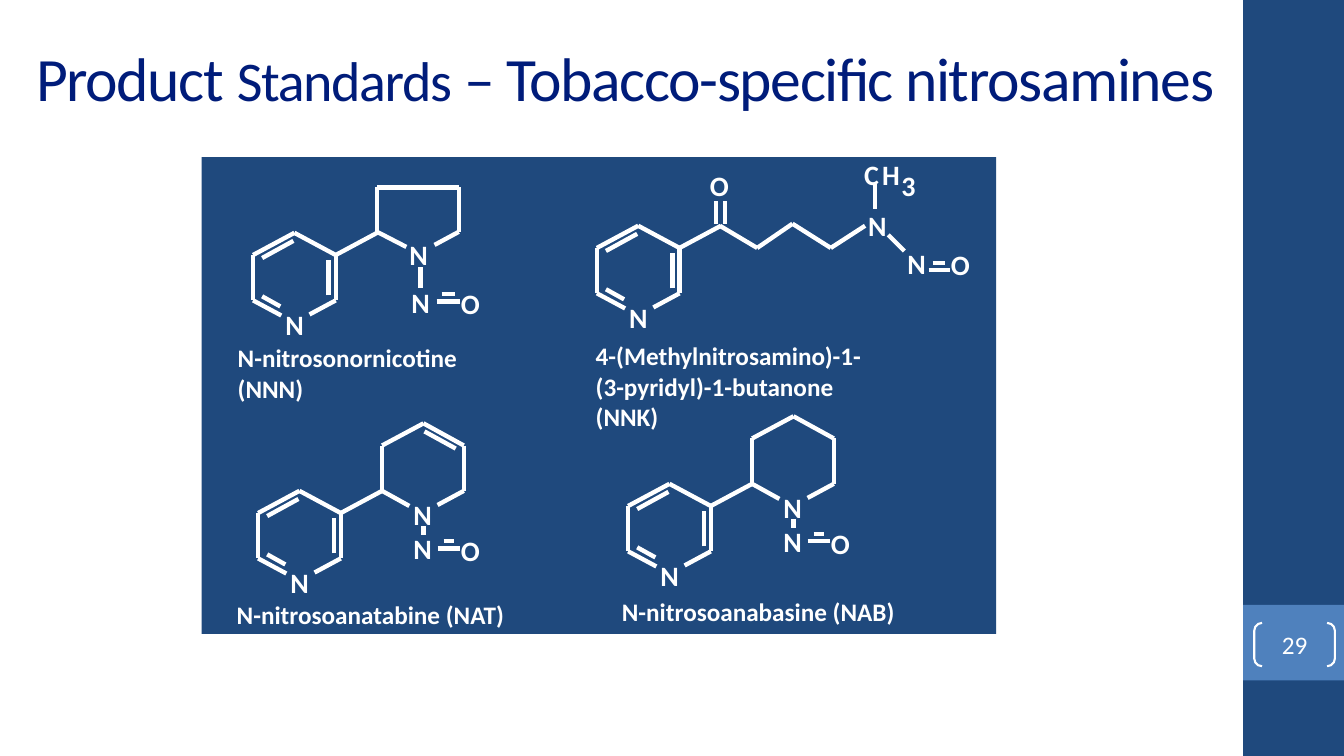
from itertools import pairwise
from lxml.etree import SubElement
from pptx import Presentation
from pptx.dml.color import RGBColor
from pptx.enum.shapes import MSO_CONNECTOR as Wire, MSO_SHAPE as Kind
from pptx.enum.text import MSO_ANCHOR as Anchor, MSO_AUTO_SIZE as Fit, PP_ALIGN as Align
from pptx.oxml.ns import qn
from pptx.util import Inches, Pt

WHITE = RGBColor(0xFF, 0xFF, 0xFF)
NAVY = RGBColor(0x1F, 0x49, 0x7D)
BLUE = RGBColor(0x4F, 0x81, 0xBD)
INK = RGBColor(0x00, 0x1C, 0x7A)

PYRIDINE = [
    [(-0.26, 0.59), (0, 0.45), (0, 0), (-0.41, -0.22), (-0.82, 0), (-0.82, 0.45), (-0.54, 0.6)],
    [(-0.07, 0.4), (-0.07, 0.05)],
    [(-0.73, 0.41), (-0.55, 0.51)],
    [(-0.42, -0.14), (-0.73, 0.03)],
    [(0, 0), (0.41, -0.22)],
]
PENTAGON = [
    [(0.7, -0.08), (0.41, -0.23), (0.41, -0.67), (1.22, -0.67), (1.22, -0.23), (0.98, -0.1)],
    [(0.84, 0.12), (0.84, 0.33)],
    [(1, 0.46), (1.23, 0.46)],
    [(1.05, 0.39), (1.18, 0.39)],
]
HEXAGON = [
    [(0.68, -0.07), (0.41, -0.22), (0.41, -0.67), (0.82, -0.89),
     (1.22, -0.67), (1.22, -0.22), (0.96, -0.08)],
    [(0.82, 0.13), (0.82, 0.22)],
    [(0.96, 0.35), (1.18, 0.35)],
    [(1.02, 0.28), (1.12, 0.28)],
]
ALKENE = [[(1.14, -0.64), (0.83, -0.81)]]
CHAIN = [
    [(0.4, -0.22), (0.77, 0), (1.12, -0.24), (1.5, 0), (1.84, -0.22)],
    [(2.07, -0.13), (2.23, 0.03)],
    [(2.47, 0.22), (2.68, 0.22)],
    [(2.51, 0.15), (2.63, 0.15)],
    [(0.36, -0.24), (0.36, -0.47)],
    [(0.45, -0.24), (0.45, -0.47)],
    [(1.94, -0.39), (1.94, -0.63)],
]
FIVE = [("N", 0.73, -0.17), ("N", 0.75, 0.3), ("O", 1.24, 0.31)]
SIX = [("N", 0.72, -0.15), ("N", 0.72, 0.18), ("O", 1.19, 0.2)]
KETONE = [("N", 1.87, -0.39), ("N", 2.26, -0.01), ("O", 2.69, 0), ("C", 1.83, -0.9),
          ("H", 2.01, -0.9), ("3", 2.2, -0.79), ("O", 0.3, -0.79)]

MOLECULES = [
    (3.33, 2.53, PENTAGON, FIVE),
    (3.38, 5.09, HEXAGON + ALKENE, SIX),
    (7.05, 5.02, HEXAGON, SIX),
    (6.74, 2.46, CHAIN, KETONE),
]
NAMES = [
    (2.26, 3.35, 3, 0.38, ["N-nitrosonornicotine (NNN)"]),
    (5.81, 3.33, 3.15, 0.67, ["4-(Methylnitrosamino)-1-", "(3-pyridyl)-1-butanone (NNK)"]),
    (2.25, 5.9, 3.2, 0.38, ["N-nitrosoanatabine (NAT)"]),
    (6.07, 5.87, 3.2, 0.38, ["N-nitrosoanabasine (NAB)"]),
]


def write(para, text, size=18, color=WHITE, bold=False, track=None):
    """Add a formatted run of text to a paragraph."""
    run = para.add_run()
    run.text = text
    font = run.font
    font.name, font.size, font.bold = "Calibri", Pt(size), bold
    font.color.rgb = color
    if track is not None:
        font._element.set("spc", str(track))


class Deck:
    """Holds the style and the current slide."""

    def __init__(self, slide, line=3.13):
        """Keep the slide and the bond width."""
        self.shapes = slide.shapes
        self.line = line

    def shape(self, kind, x, y, w, h, fill=None, edge=None):
        """Draw a preset shape."""
        item = self.shapes.add_shape(kind, Inches(x), Inches(y), Inches(w), Inches(h))
        item.shadow.inherit = False
        if fill is None:
            item.fill.background()
        else:
            item.fill.solid()
            item.fill.fore_color.rgb = fill
        if edge is None:
            item.line.fill.background()
        else:
            item.line.color.rgb = edge
            item.line.width = Pt(1.5)
        return item

    def box(self, x, y, w, h, wrap=True):
        """Add an empty text box and return its frame."""
        frame = self.shapes.add_textbox(Inches(x), Inches(y), Inches(w), Inches(h)).text_frame
        frame.word_wrap = wrap
        return frame

    def trim(self, frame):
        """Remove the insets of a text frame."""
        frame.margin_left = frame.margin_right = 0
        frame.margin_top = frame.margin_bottom = 0

    def atom(self, text, x, y):
        """Place an atom letter."""
        frame = self.box(x, y, 0.14 if text in "C3" else 0.18, 0.32, wrap=False)
        self.trim(frame)
        frame.auto_size = Fit.SHAPE_TO_FIT_TEXT
        write(frame.paragraphs[0], text, size=20, bold=True)

    def label(self, x, y, w, h, lines):
        """Place the name of a molecule."""
        frame = self.box(x, y, w, h)
        for i, text in enumerate(lines):
            para = frame.add_paragraph() if i else frame.paragraphs[0]
            write(para, text, bold=True)

    def bond(self, start, end):
        """Draw one straight bond."""
        wire = self.shapes.add_connector(Wire.STRAIGHT, *map(Inches, start + end))
        wire.line.color.rgb = WHITE
        wire.line.width = Pt(self.line)
        SubElement(wire._element.spPr, qn("a:effectLst"))

    def group(self, x, y, paths, atoms):
        """Draw bonds and atoms around an anchor point."""
        for chain in paths:
            spots = [(x + dx, y + dy) for dx, dy in chain]
            for start, end in pairwise(spots):
                self.bond(start, end)
        for text, dx, dy in atoms:
            self.atom(text, x + dx, y + dy)


show = Presentation()
show.slide_width, show.slide_height = Inches(13.33), Inches(7.5)
deck = Deck(show.slides.add_slide(show.slide_layouts[6]))

deck.shape(Kind.RECTANGLE, 12.33, 0, 1, 7.5, fill=NAVY)
deck.shape(Kind.RECTANGLE, 12.33, 6, 1, 0.75, fill=BLUE)

title = deck.box(0.26, 0.33, 11.95, 0.86)
title.vertical_anchor = Anchor.MIDDLE
for text, size in [("Product ", 44), ("Standards", 40), (" – Tobacco-specific nitrosamines", 44)]:
    write(title.paragraphs[0], text, size=size, color=INK, track=-100)

badge = deck.shape(Kind.DOUBLE_BRACKET, 12.44, 6.18, 0.8, 0.43, edge=WHITE)
badge.adjustments[0] = 0.18
frame = badge.text_frame
deck.trim(frame)
frame.vertical_anchor = Anchor.MIDDLE
frame.paragraphs[0].alignment = Align.CENTER
write(frame.paragraphs[0], "29")

deck.shape(Kind.RECTANGLE, 2, 1.56, 7.88, 4.73, fill=NAVY)
for x, y, paths, atoms in MOLECULES:
    deck.group(x, y, PYRIDINE + paths, [("N", -0.5, 0.52)] + atoms)
for name in NAMES:
    deck.label(*name)

show.save("out.pptx")
